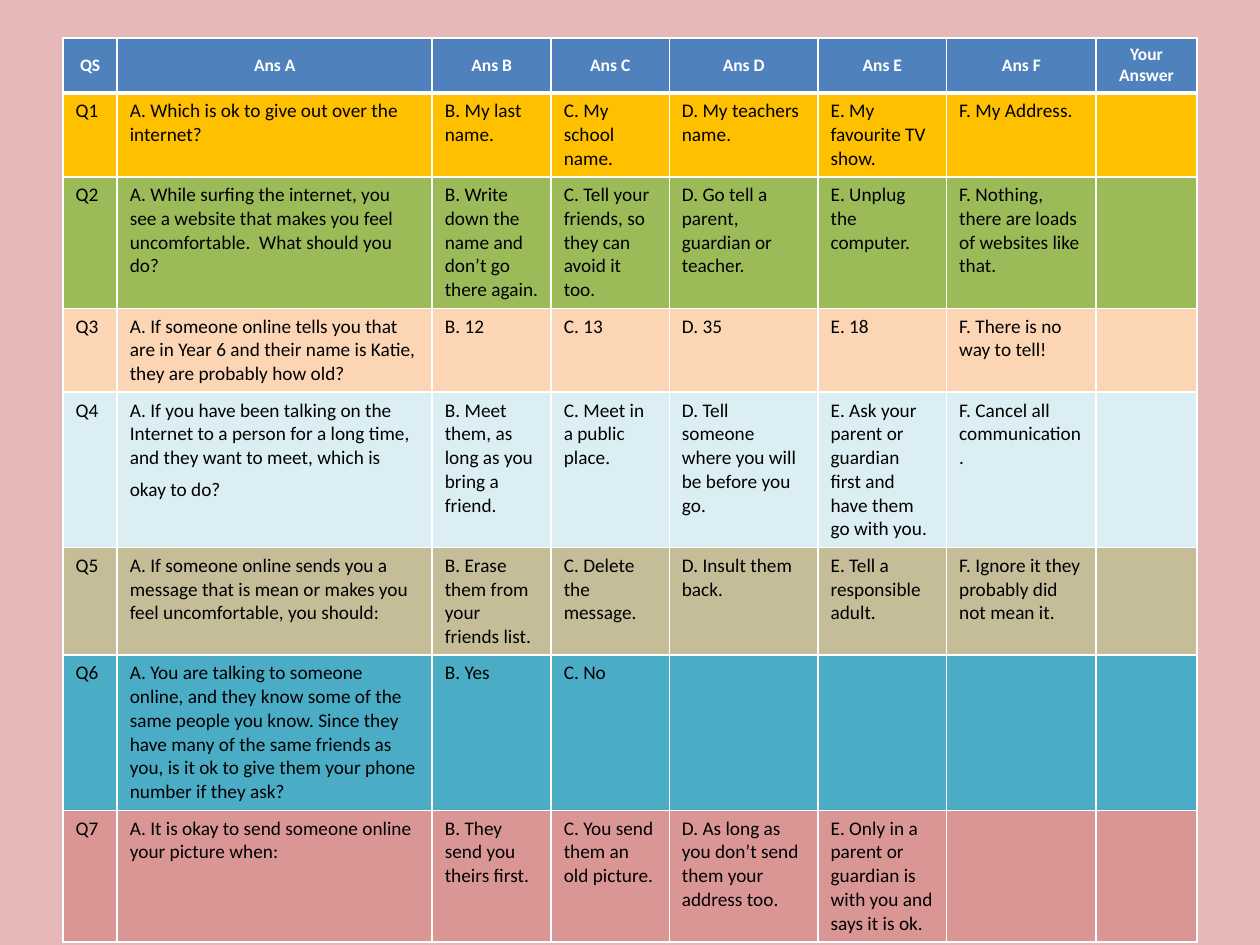
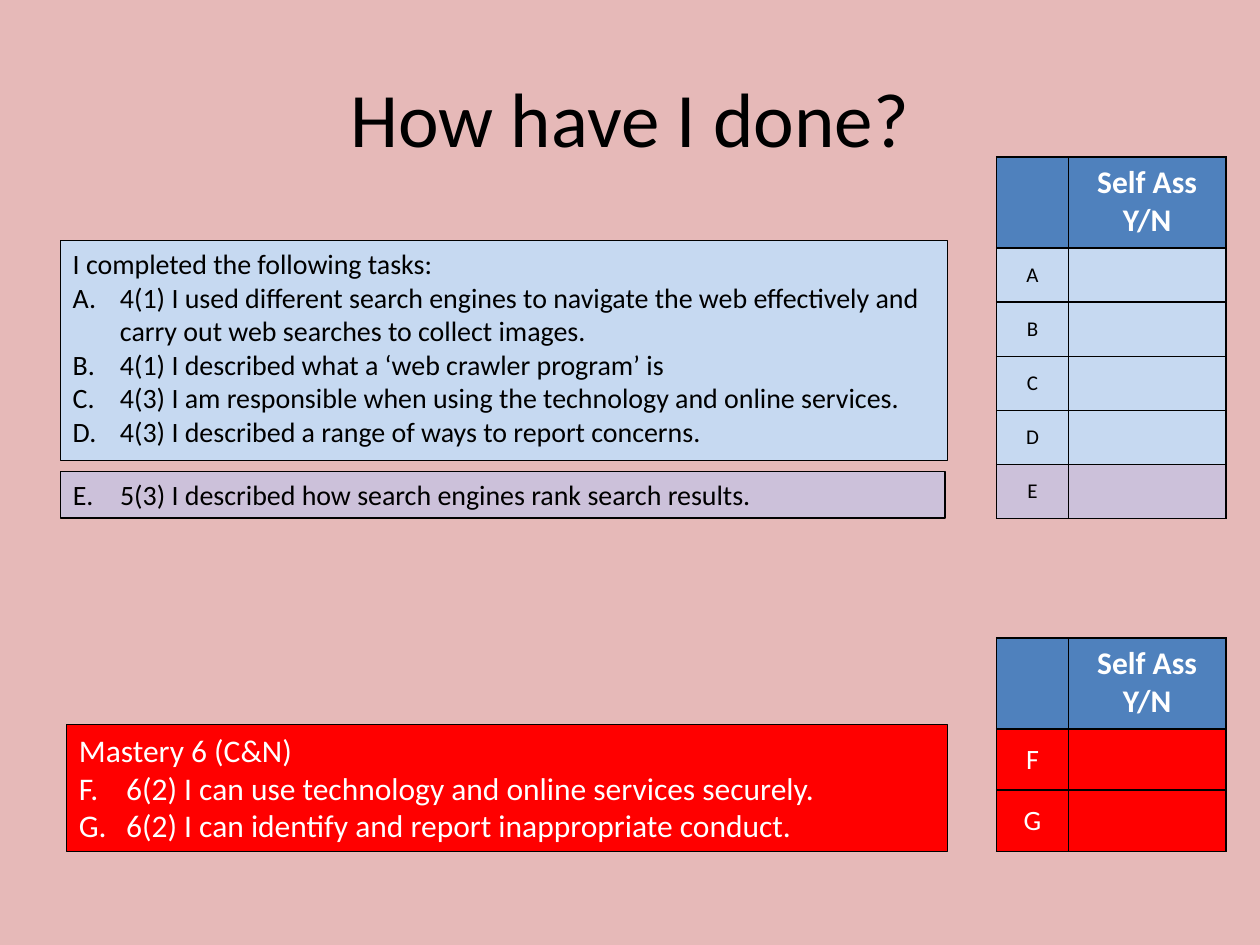
from pptx import Presentation
from pptx.dml.color import RGBColor
from pptx.enum.shapes import MSO_SHAPE
from pptx.enum.text import MSO_ANCHOR, MSO_AUTO_SIZE, PP_ALIGN
from pptx.oxml.ns import qn
from pptx.util import Pt
from lxml import etree

RECTANGLE = MSO_SHAPE.RECTANGLE
TOP, MIDDLE = MSO_ANCHOR.TOP, MSO_ANCHOR.MIDDLE
LEFT, CENTER = PP_ALIGN.LEFT, PP_ALIGN.CENTER
GROW = MSO_AUTO_SIZE.SHAPE_TO_FIT_TEXT

# Palette
BLACK = RGBColor(0x00, 0x00, 0x00)
WHITE = RGBColor(0xFF, 0xFF, 0xFF)
ROSE = RGBColor(0xE6, 0xB9, 0xB8)
HEADER_BLUE = RGBColor(0x4F, 0x81, 0xBD)
AMBER = RGBColor(0xFF, 0xC0, 0x00)
GREEN = RGBColor(0x9B, 0xBB, 0x59)
PEACH = RGBColor(0xFC, 0xD5, 0xB5)
ICE = RGBColor(0xDB, 0xEE, 0xF4)
KHAKI = RGBColor(0xC4, 0xBD, 0x97)
TEAL = RGBColor(0x4B, 0xAC, 0xC6)
CORAL = RGBColor(0xD9, 0x96, 0x94)
PALE_BLUE = RGBColor(0xC6, 0xD9, 0xF1)
LILAC = RGBColor(0xCC, 0xC1, 0xDA)
RED = RGBColor(0xFF, 0x00, 0x00)

FONT = "Calibri"
TITLE_ONLY, BLANK = 5, 6

# Quiz: row colour, then the question and its answers
QUIZ_HEADINGS = ["QS", "Ans A", "Ans B", "Ans C", "Ans D", "Ans E", "Ans F", "Your Answer"]
QUIZ_WIDTHS = [31, 180, 68, 67.5, 85, 73.5, 85.5, 57.5]
QUIZ_ROW_HEIGHT = 29.5
QUIZ = [
    (AMBER, ["A. Which is ok to give out over the internet?", "B. My last name.",
             "C. My school name.", "D. My teachers name.", "E. My favourite TV show.",
             "F. My Address."]),
    (GREEN, ["A. While surfing the internet, you see a website that makes you feel "
             "uncomfortable.  What should you do?",
             "B. Write down the name and don’t go there again.",
             "C. Tell your friends, so they can avoid it too.",
             "D. Go tell a parent, guardian or teacher.", "E. Unplug the computer.",
             "F. Nothing, there are loads of websites like that."]),
    (PEACH, ["A. If someone online tells you that are in Year 6 and their name is Katie, "
             "they are probably how old?", "B. 12", "C. 13", "D. 35", "E. 18",
             "F. There is no way to tell!"]),
    (ICE, ["A. If you have been talking on the Internet to a person for a long time, "
           "and they want to meet, which is okay to do?",
           "B. Meet them, as long as you bring a friend.", "C. Meet in a public place.",
           "D. Tell someone where you will be before you go.",
           "E. Ask your parent or guardian first and have them go with you.",
           "F. Cancel all communication."]),
    (KHAKI, ["A. If someone online sends you a message that is mean or makes you feel "
             "uncomfortable, you should:", "B. Erase them from your friends list.",
             "C. Delete the message.", "D. Insult them back.",
             "E. Tell a responsible adult.", "F. Ignore it they probably did not mean it."]),
    (TEAL, ["A. You are talking to someone online, and they know some of the same people "
            "you know. Since they have many of the same friends as you, is it ok to give "
            "them your phone number if they ask?", "B. Yes", "C. No"]),
    (CORAL, ["A. It is okay to send someone online your picture when:",
             "B. They send you theirs first.", "C. You send them an old picture.",
             "D. As long as you don’t send them your address too.",
             "E. Only in a parent or guardian is with you and says it is ok."]),
]

# Self assessment
TASKS = [
    "4(1) I used different search engines to navigate the web effectively and carry out "
    "web searches to collect images.",
    "4(1) I described what a ‘web crawler program’ is",
    "4(3) I am responsible when using the technology and online services.",
    "4(3) I described a range of ways to report concerns.",
]
EXTRA_TASKS = ["5(3) I described how search engines rank search results."]
MASTERY_TASKS = ["6(2) I can use technology and online services securely.",
                 "6(2) I can identify and report inappropriate conduct."]


class SlideBuilder:
    def __init__(self, deck):
        self.deck = deck
        self.page = None

    def new_page(self, layout):
        self.page = self.deck.slides.add_slide(self.deck.slide_layouts[layout])
        fill = self.page.background.fill
        fill.solid()
        fill.fore_color.rgb = ROSE

    def span(self, para, text, size, color, bold=False):
        run = para.add_run()
        run.text = text
        run.font.name = FONT
        run.font.size = Pt(size)
        run.font.bold = bold
        run.font.color.rgb = color

    def title(self, text, left, top, width, height):
        box = self.page.shapes.title
        box.left, box.top, box.width, box.height = Pt(left), Pt(top), Pt(width), Pt(height)
        box.text_frame.vertical_anchor = MIDDLE
        para = box.text_frame.paragraphs[0]
        para.alignment = CENTER
        self.span(para, text, 44, BLACK)

    def letter(self, para, start):
        """Number a paragraph A., B., C. with a hanging indent."""
        props = para._p.get_or_add_pPr()
        props.set("marL", str(Pt(27)))
        props.set("indent", str(Pt(-27)))
        etree.SubElement(props, qn("a:buFont"), typeface="+mj-lt")
        etree.SubElement(props, qn("a:buAutoNum"), type="alphaUcPeriod", startAt=str(start))

    def task_box(self, left, top, width, height, fill, color, size, tasks, start, heading=None):
        box = self.page.shapes.add_shape(RECTANGLE, Pt(left), Pt(top), Pt(width), Pt(height))
        box.shadow.inherit = False
        box.fill.solid()
        box.fill.fore_color.rgb = fill
        box.line.color.rgb = BLACK
        box.line.width = Pt(0.75)
        frame = box.text_frame
        frame.word_wrap = True
        frame.auto_size = GROW
        frame.vertical_anchor = TOP
        lines = ([heading] if heading else []) + tasks
        for index, text in enumerate(lines):
            para = frame.paragraphs[0] if index == 0 else frame.add_paragraph()
            para.alignment = LEFT
            if text != heading:
                # Each run of letters restarts only where the box does
                self.letter(para, start)
            self.span(para, text, size, color)

    def table(self, left, top, widths, heights):
        frame = self.page.shapes.add_table(len(heights), len(widths), Pt(left), Pt(top),
                                           Pt(sum(widths)), Pt(sum(heights)))
        table = frame.table
        table.horz_banding = False
        for column, width in zip(table.columns, widths):
            column.width = Pt(width)
        for row, height in zip(table.rows, heights):
            row.height = Pt(height)
        return table

    def cell(self, cell, lines, fill, border, size, color, bold=False,
             align=LEFT, anchor=TOP, top=1, bottom=1):
        props = cell._tc.get_or_add_tcPr()
        for side, width in (("L", 1), ("R", 1), ("T", top), ("B", bottom)):
            line = etree.SubElement(props, qn(f"a:ln{side}"), w=str(Pt(width)))
            solid = etree.SubElement(line, qn("a:solidFill"))
            etree.SubElement(solid, qn("a:srgbClr"), val=str(border))
        cell.fill.solid()
        cell.fill.fore_color.rgb = fill
        cell.vertical_anchor = anchor
        for index, text in enumerate(lines):
            frame = cell.text_frame
            para = frame.paragraphs[0] if index == 0 else frame.add_paragraph()
            para.alignment = align
            self.span(para, text, size, color, bold)

    def score_table(self, top, row_height, rows, size, color):
        """Self-assessment grid: one lettered row for each (letter, fill)."""
        table = self.table(569.5, top, [41, 90], [52] + [row_height] * len(rows))
        for column, lines in enumerate([[], ["Self Ass", "Y/N"]]):
            self.cell(table.cell(0, column), lines, HEADER_BLUE, BLACK, 18, WHITE,
                      bold=True, align=CENTER)
        for index, (letter, fill) in enumerate(rows, start=1):
            for column, lines in enumerate([[letter], []]):
                self.cell(table.cell(index, column), lines, fill, BLACK, size, color,
                          align=CENTER, anchor=MIDDLE)


def build_quiz(builder):
    builder.new_page(BLANK)
    table = builder.table(36, 21.6, QUIZ_WIDTHS, [QUIZ_ROW_HEIGHT] * (len(QUIZ) + 1))
    for column, heading in enumerate(QUIZ_HEADINGS):
        builder.cell(table.cell(0, column), [heading], HEADER_BLUE, WHITE, 10, WHITE,
                     bold=True, align=CENTER, anchor=MIDDLE, bottom=3)
    for number, (fill, answers) in enumerate(QUIZ, start=1):
        texts = [f"Q{number}"] + answers
        for column in range(len(QUIZ_HEADINGS)):
            builder.cell(table.cell(number, column), texts[column:column + 1], fill, WHITE,
                         11, BLACK, top=3 if number == 1 else 1)
    # A larger closing space makes the last line of question 4 taller
    builder.span(table.cell(4, 1).text_frame.paragraphs[0], " ", 16, BLACK)


def build_self_assessment(builder):
    builder.new_page(TITLE_ONLY)
    builder.title("How have I done?", 36, 21.6, 648, 90)

    # Mastery tasks
    builder.task_box(38, 414, 503.5, 72.7, RED, WHITE, 18, MASTERY_TASKS, 6,
                     heading="Mastery 6 (C&N)")
    builder.score_table(364.5, 35, [(letter, RED) for letter in "FG"], 16, WHITE)

    # Completed tasks
    builder.task_box(34.5, 137.3, 507, 126, PALE_BLUE, BLACK, 16, TASKS, 1,
                     heading="I completed the following tasks:")
    builder.task_box(34.5, 269.3, 505.5, 26.7, LILAC, BLACK, 16, EXTRA_TASKS, 5)
    rows = [(letter, PALE_BLUE) for letter in "ABCD"] + [("E", LILAC)]
    builder.score_table(89.8, 30.9, rows, 12, BLACK)


def main():
    deck = Presentation()
    deck.slide_width, deck.slide_height = Pt(720), Pt(540)
    builder = SlideBuilder(deck)
    build_quiz(builder)
    build_self_assessment(builder)
    deck.save("out.pptx")


if __name__ == "__main__":
    main()
